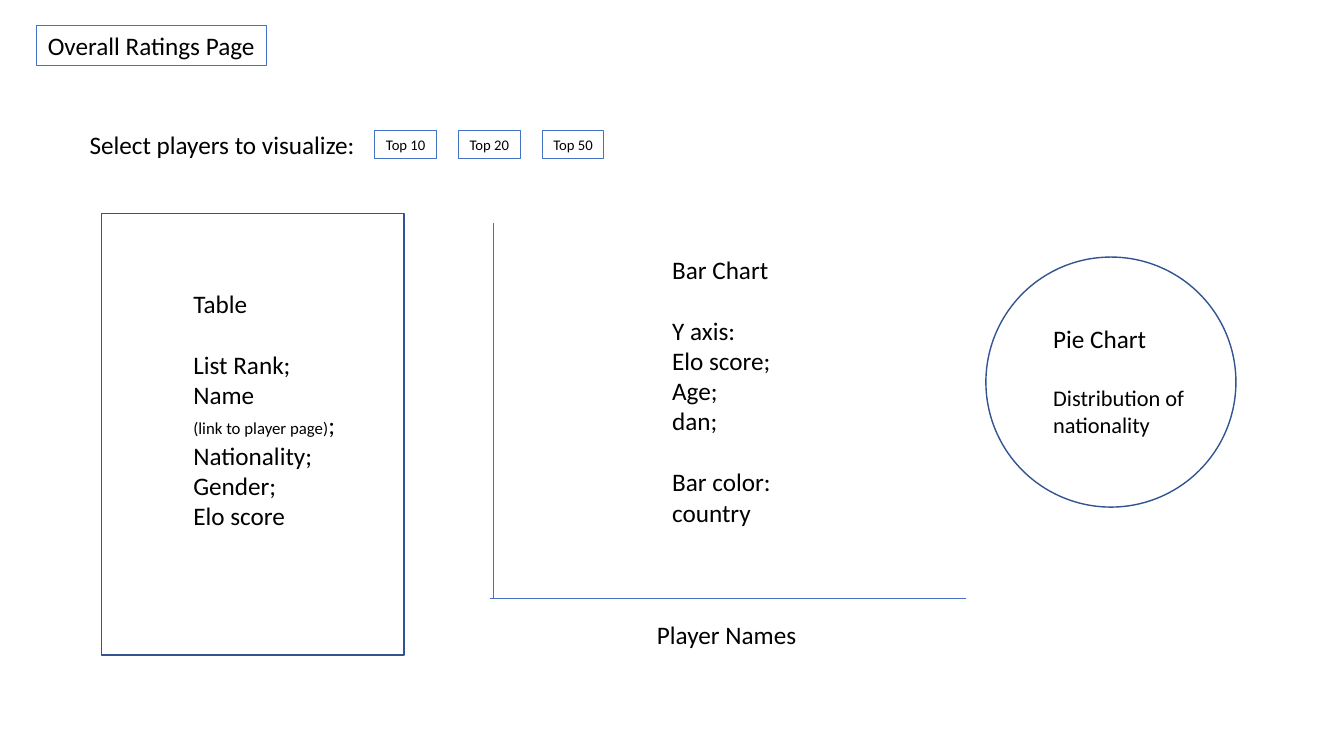
from lxml import etree
from pptx import Presentation
from pptx.dml.color import RGBColor
from pptx.enum import shapes, text
from pptx.oxml.ns import qn
from pptx.util import Pt

BLACK = RGBColor(0x00, 0x00, 0x00)
BLUE = RGBColor(0x44, 0x72, 0xC4)
DARK_BLUE = RGBColor(0x32, 0x54, 0x91)
LINE_GAP = 22  # height of one 18 pt line

wireframe = Presentation()
wireframe.slide_width, wireframe.slide_height = Pt(960), Pt(540)
slide = wireframe.slides.add_slide(wireframe.slide_layouts[6])


def add_outline(kind, left, top, width, height, color, weight):
    outline = slide.shapes.add_shape(kind, Pt(left), Pt(top), Pt(width), Pt(height))
    outline.shadow.inherit = False
    outline.fill.background()
    outline.line.color.rgb = color
    outline.line.width = Pt(weight)
    return outline


def write(content, box, size=18, align=text.PP_ALIGN.LEFT, wrap=False, shape=None):
    """Write groups of paragraphs, a line apart; a paragraph is a list of (words, size) or a string."""
    shape = shape or slide.shapes.add_textbox(*map(Pt, box))
    frame = shape.text_frame
    frame.word_wrap = wrap
    frame.auto_size = text.MSO_AUTO_SIZE.SHAPE_TO_FIT_TEXT
    paragraph = frame.paragraphs[0]
    for group_no, group in enumerate(content):
        for line_no, line in enumerate(group):
            if group_no or line_no:
                paragraph = frame.add_paragraph()
            if group_no and not line_no:
                paragraph.space_before = Pt(LINE_GAP)
            paragraph.alignment = align
            for words, run_size in [(line, size)] if isinstance(line, str) else line:
                run = paragraph.add_run()
                run.text = words
                run.font.name = "Calibri"
                run.font.size = Pt(run_size)
                run.font.color.rgb = BLACK


# Page title and the player selection
buttons = [(f"Top {count}", (267.8 + 59.8 * i, 92.9, 43.9, 20.2), 10.5)
           for i, count in enumerate((10, 20, 50))]
for label, box, size in [("Overall Ratings Page", (25.9, 18, 164.2, 29), 18)] + buttons:
    frame = add_outline(shapes.MSO_SHAPE.RECTANGLE, *box, BLUE, 0.75)
    write([[label]], box, size=size, align=text.PP_ALIGN.CENTER, shape=frame)
write([["Select players to visualize:"]], (56.9, 88.6, 210.2, 29))

# Table
add_outline(shapes.MSO_SHAPE.RECTANGLE, 72.7, 152.6, 216, 315.4, DARK_BLUE, 1)
write([["Table"],
       ["List Rank;", "Name", [("(link to player page)", 12), (";", 18)],
        "Nationality;", "Gender;", "Elo score"]],
      (131, 202.3, 116.6, 203.8))

# Bar chart
for axis_ends in [(352.1, 159.1, 352.1, 427.7), (349.9, 427.7, 689.8, 427.7)]:
    axis = slide.shapes.add_connector(shapes.MSO_CONNECTOR.STRAIGHT, *map(Pt, axis_ends))
    axis.line.color.rgb = BLUE
    axis.line.width = Pt(0.5)
    etree.SubElement(axis.element.spPr, qn("a:effectLst"))
write([["Player Names"]], (462.2, 438.5, 115.2, 29))
write([["Bar Chart"],
       ["Y axis:", "Elo score;", "Age;", "dan;"],
       ["Bar color:", "country"]],
      (473, 177.8, 85.7, 225.4))

# Pie chart
add_outline(shapes.MSO_SHAPE.OVAL, 704.2, 183.6, 178.6, 178.6, DARK_BLUE, 1)
write([["Pie Chart"], [[("Distribution of nationality", 16)]]],
      (745.2, 227.5, 109.4, 90), wrap=True)

wireframe.save("out.pptx")
